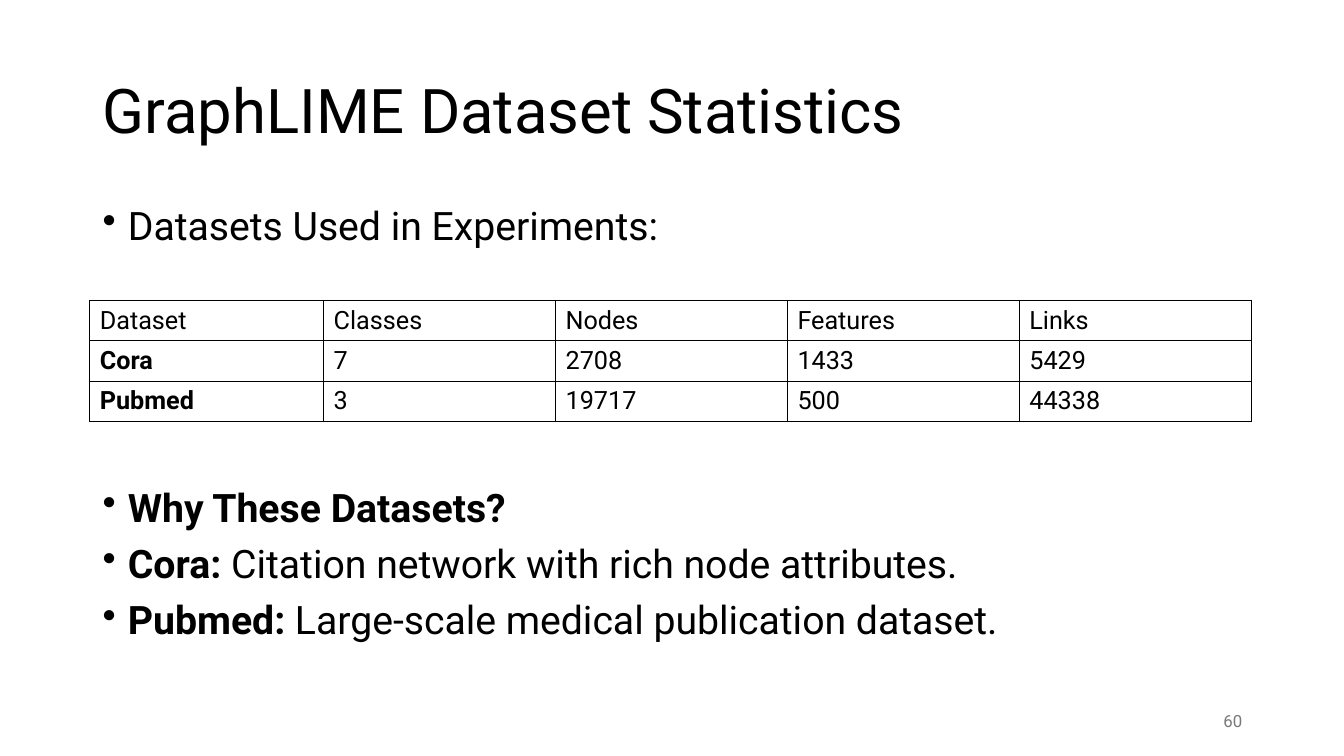
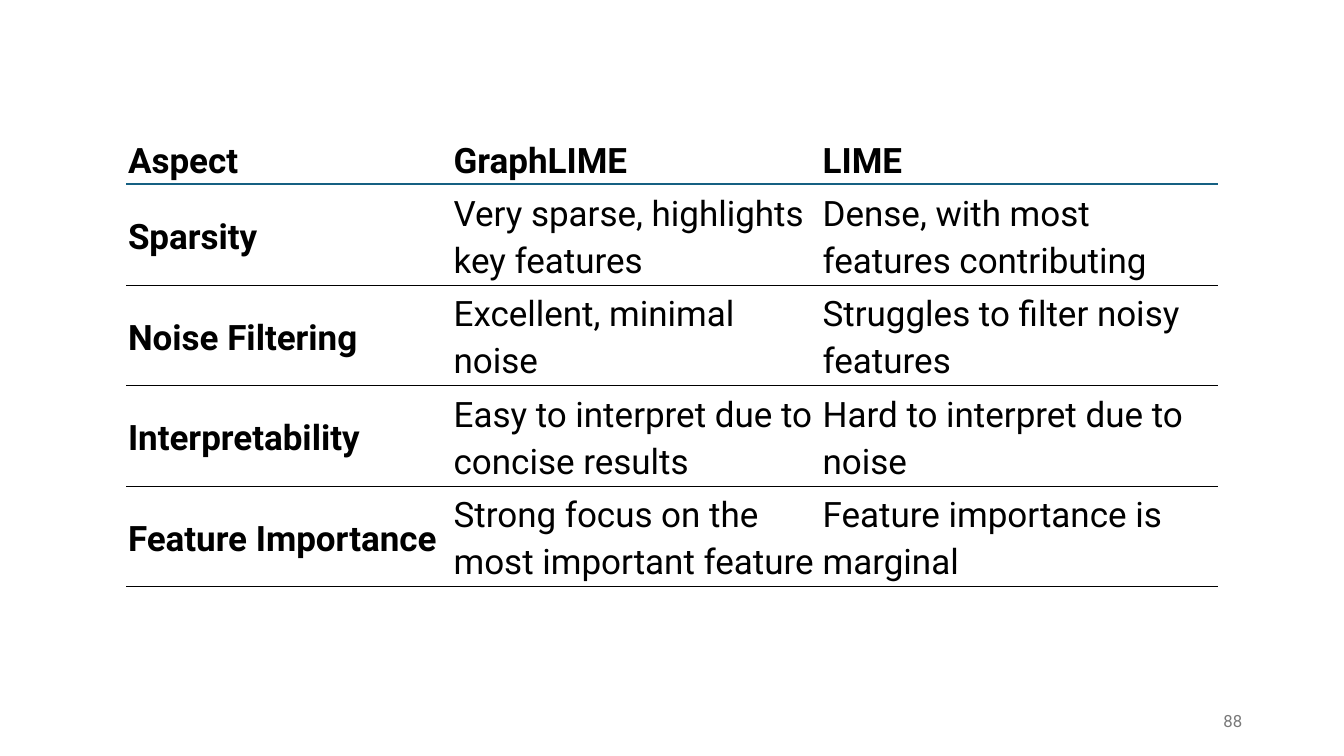
from dataclasses import dataclass
from typing import Optional

from lxml import etree
from pptx import Presentation
from pptx import util as u
from pptx.dml import color
from pptx.enum import text
from pptx.oxml import ns

FONT = "Roboto"
BLACK = "000000"
GREY = "797979"
BLUE = "156082"


@dataclass(frozen=True)
class Box:
    left: float
    top: float
    width: float
    height: float


@dataclass(frozen=True)
class Rule:
    hex_color: str
    width: float


@dataclass(frozen=True)
class Bullet:
    lead: str = ""
    rest: str = ""
    space_before: float = 10


@dataclass(frozen=True)
class Grid:
    left: float
    top: float
    columns: tuple[float, ...]
    row_heights: tuple[float, ...]
    rows: tuple[tuple[str, ...], ...]
    size: float
    side: Optional[Rule]
    line: Rule
    header_line: Rule
    bold_header: bool = False
    margin: Optional[float] = None
    line_spacing: float = 1.0
    space_after: float = 0


TITLE = Box(0.92, 0.4, 11.5, 1.45)
BODY = Box(0.92, 2, 11.5, 4.76)
PAGE_NUMBER = Box(9.42, 6.95, 3, 0.4)
THIN = Rule(BLACK, 0.25)
SOLID = Rule(BLACK, 1)

DATASETS = Grid(
    left=0.89, top=2.98,
    columns=(2.32,) + (2.3,) * 4,
    row_heights=(0.39,) * 3,
    rows=(
        ("Dataset", "Classes", "Nodes", "Features", "Links"),
        ("Cora", "7", "2708", "1433", "5429"),
        ("Pubmed", "3", "19717", "500", "44338"),
    ),
    size=18, side=SOLID, line=SOLID, header_line=SOLID,
)
DATASET_BULLETS = (
    Bullet(rest="Datasets Used in Experiments:"),
    Bullet(lead="Why These Datasets?", space_before=171),
    Bullet("Cora:", " Citation network with rich node attributes."),
    Bullet("Pubmed:", " Large-scale medical publication dataset."),
)
COMPARISON = Grid(
    left=1.25, top=1.31,
    columns=(3.23, 3.66, 3.94),
    row_heights=(0.45,) + (0.88,) * 4,
    rows=(
        ("Aspect", "GraphLIME", "LIME"),
        ("Sparsity", "Very sparse, highlights key features",
         "Dense, with most features contributing"),
        ("Noise Filtering", "Excellent, minimal noise",
         "Struggles to filter noisy features"),
        ("Interpretability", "Easy to interpret due to concise results",
         "Hard to interpret due to noise"),
        ("Feature Importance", "Strong focus on the most important feature",
         "Feature importance is marginal"),
    ),
    size=25, side=None, line=THIN, header_line=Rule(BLUE, 1.5),
    bold_header=True, margin=0.02, line_spacing=1.15, space_after=8,
)


def style(paragraph, size: float, hex_color: str = BLACK, bold: Optional[bool] = None) -> None:
    font = paragraph.font
    font.name = FONT
    font.size = u.Pt(size)
    font.color.rgb = color.RGBColor.from_string(hex_color)
    font.bold = bold


def add_frame(slide, box: Box, anchor):
    frame = slide.shapes.add_textbox(
        u.Inches(box.left), u.Inches(box.top), u.Inches(box.width), u.Inches(box.height)
    ).text_frame
    frame.word_wrap = True
    frame.vertical_anchor = anchor
    return frame


def add_title(slide, wording: str) -> None:
    paragraph = add_frame(slide, TITLE, text.MSO_ANCHOR.MIDDLE).paragraphs[0]
    paragraph.text = wording
    paragraph.line_spacing = 0.9
    style(paragraph, 44)


def add_page_number(slide, number: int) -> None:
    paragraph = add_frame(slide, PAGE_NUMBER, text.MSO_ANCHOR.MIDDLE).paragraphs[0]
    paragraph.text = str(number)
    paragraph.alignment = text.PP_ALIGN.RIGHT
    style(paragraph, 12, GREY)


def add_bullets(slide, bullets: tuple[Bullet, ...]) -> None:
    frame = add_frame(slide, BODY, text.MSO_ANCHOR.TOP)
    for index, bullet in enumerate(bullets):
        paragraph = frame.add_paragraph() if index else frame.paragraphs[0]
        paragraph.line_spacing = 0.9
        paragraph.space_before = u.Pt(bullet.space_before)
        style(paragraph, 28)
        for wording, bold in ((bullet.lead, True), (bullet.rest, False)):
            if wording:
                run = paragraph.add_run()
                run.text = wording
                run.font.bold = bold
        properties = paragraph._p.get_or_add_pPr()
        properties.set("marL", str(u.Inches(0.25)))
        properties.set("indent", str(-u.Inches(0.25)))
        mark = etree.Element(ns.qn("a:buChar"), char="•")
        properties.find(ns.qn("a:defRPr")).addprevious(mark)


def add_border(cell, edge: str, rule: Optional[Rule]) -> None:
    line = etree.SubElement(cell._tc.get_or_add_tcPr(), ns.qn(f"a:ln{edge}"))
    if rule is None:
        etree.SubElement(line, ns.qn("a:noFill"))
        return
    line.set("w", str(u.Pt(rule.width)))
    fill = etree.SubElement(line, ns.qn("a:solidFill"))
    etree.SubElement(fill, ns.qn("a:srgbClr"), val=rule.hex_color)


def fill_cell(cell, grid: Grid, row: int, column: int) -> None:
    top = grid.header_line if row == 1 else grid.line if row or grid.side else None
    bottom = grid.line if row else grid.header_line
    for edge, rule in (("L", grid.side), ("R", grid.side), ("T", top), ("B", bottom)):
        add_border(cell, edge, rule)
    cell.fill.background()
    cell.vertical_anchor = text.MSO_ANCHOR.MIDDLE
    if grid.margin is not None:
        margin = u.Inches(grid.margin)
        cell.margin_left = cell.margin_right = margin
        cell.margin_top = cell.margin_bottom = margin
    paragraph = cell.text_frame.paragraphs[0]
    paragraph.text = grid.rows[row][column]
    paragraph.line_spacing = grid.line_spacing
    paragraph.space_after = u.Pt(grid.space_after)
    style(paragraph, grid.size, bold=column == 0 if row else grid.bold_header)


def add_grid(slide, grid: Grid) -> None:
    table = slide.shapes.add_table(
        len(grid.rows), len(grid.columns),
        u.Inches(grid.left), u.Inches(grid.top),
        u.Inches(sum(grid.columns)), u.Inches(sum(grid.row_heights)),
    ).table
    table.first_row = False
    table.horz_banding = False
    for column, width in zip(table.columns, grid.columns):
        column.width = u.Inches(width)
    for row, height in zip(table.rows, grid.row_heights):
        row.height = u.Inches(height)
    for row in range(len(grid.rows)):
        for column in range(len(grid.columns)):
            fill_cell(table.cell(row, column), grid, row, column)


def main() -> None:
    deck = Presentation()
    deck.slide_width = u.Inches(13.33)
    deck.slide_height = u.Inches(7.5)
    blank = deck.slide_layouts[6]

    statistics = deck.slides.add_slide(blank)
    add_title(statistics, "GraphLIME Dataset Statistics")
    add_bullets(statistics, DATASET_BULLETS)
    add_grid(statistics, DATASETS)
    add_page_number(statistics, 60)

    comparison = deck.slides.add_slide(blank)
    add_grid(comparison, COMPARISON)
    add_page_number(comparison, 88)

    deck.save("out.pptx")


if __name__ == "__main__":
    main()
